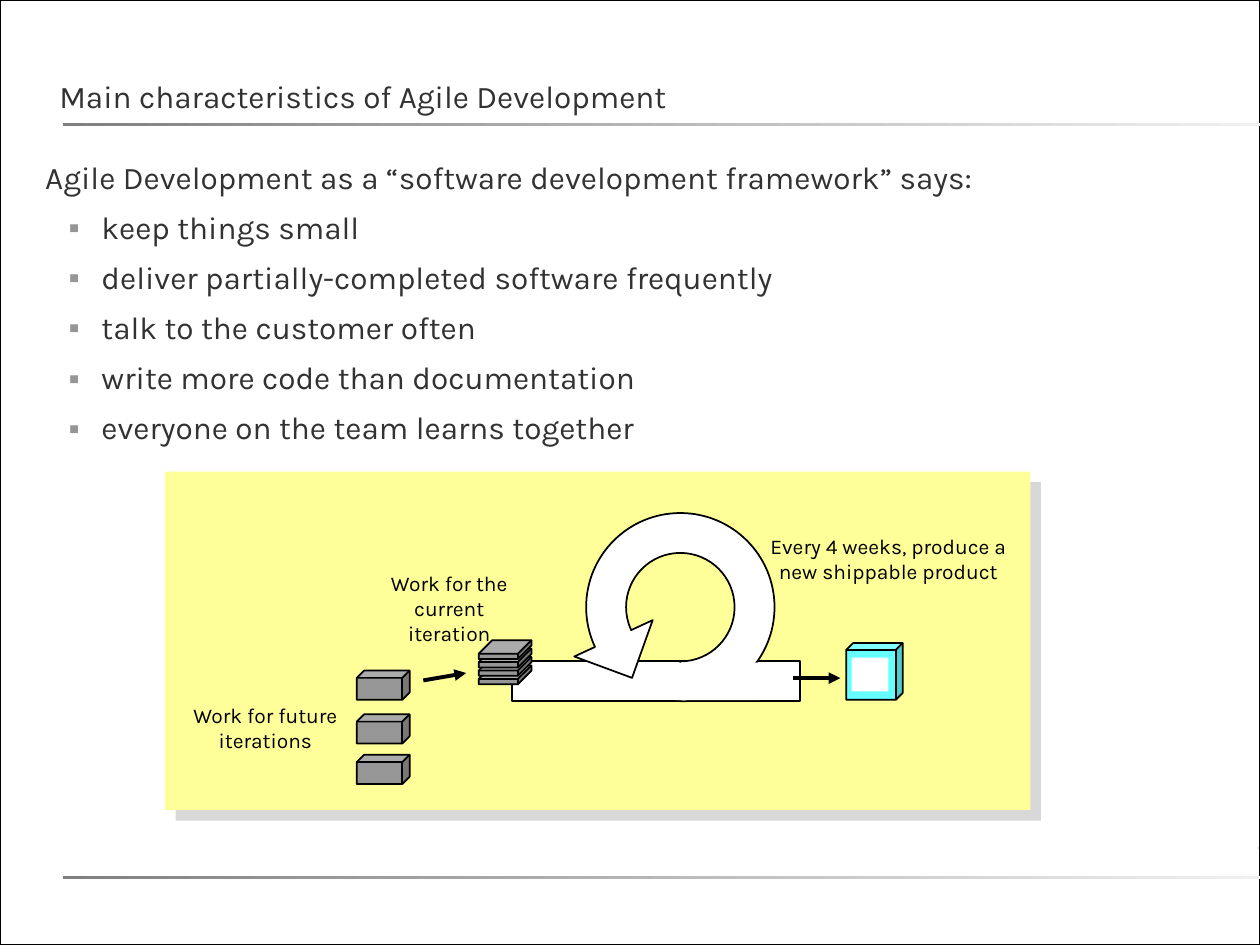
from math import cos, radians, sin, tan

from lxml.etree import SubElement
from pptx import Presentation
from pptx.dml.color import RGBColor
from pptx.enum.shapes import MSO_CONNECTOR, MSO_SHAPE
from pptx.enum.text import MSO_ANCHOR, PP_ALIGN
from pptx.oxml.ns import qn
from pptx.util import Pt

FONT = "Karla"
BLACK, WHITE, GREY, DARK = "000000", "FFFFFF", "969696", "323232"


def color(hex_text):
    return RGBColor.from_string(hex_text)


def points(*lengths):
    return [Pt(length) for length in lengths]


def add_xml(parent, tag, **attributes):
    return SubElement(parent, qn(tag), attributes)


def on_circle(center, radius, angle):
    """Point at an angle in degrees, clockwise from the right."""
    turn = radians(angle)
    return center[0] + radius * cos(turn), center[1] + radius * sin(turn)


def arc(center, radius, angles):
    """Bezier segments (two handles and an end) through the given angles."""
    segments = []
    for start, end in zip(angles, angles[1:]):
        reach = 4 / 3 * tan(radians(end - start) / 4)
        x1, y1 = on_circle(center, radius, start)
        x2, y2 = on_circle(center, radius, end)
        segments.append([
            (x1 - reach * (y1 - center[1]), y1 + reach * (x1 - center[0])),
            (x2 + reach * (y2 - center[1]), y2 - reach * (x2 - center[0])),
            (x2, y2)])
    return segments


class SlideWriter:
    """Holds the style and the current slide."""

    def __init__(self, slide):
        self.slide = slide
        self.shapes = slide.shapes

    def finish(self, shape, fill, line):
        shape.shadow.inherit = False
        if fill:
            shape.fill.solid()
            shape.fill.fore_color.rgb = color(fill)
        else:
            shape.fill.background()
        if line:
            shape.line.color.rgb = color(line)
            shape.line.width = Pt(1)
        else:
            shape.line.fill.background()
        return shape

    def shape(self, place, fill=None, line=None, kind=MSO_SHAPE.RECTANGLE):
        return self.finish(self.shapes.add_shape(kind, *points(*place)), fill, line)

    def cube(self, place, depth, fill=GREY):
        cube = self.shape(place, fill, BLACK, MSO_SHAPE.CUBE)
        cube.adjustments[0] = depth

    def fading_bar(self, place, end):
        bar = self.shape(place)
        bar.fill.gradient()
        bar.fill.gradient_angle = 0
        for stop, shade in zip(bar.fill.gradient_stops, ("808080", end)):
            stop.color.rgb = color(shade)

    def shadowed_panel(self, place, fill):
        panel = self.shape(place, fill)
        effects = panel._element.spPr.find(qn("a:effectLst"))
        shadow = add_xml(effects, "a:outerShdw", blurRad="0", dist=str(Pt(8.5)),
                         dir=str(45 * 60000), algn="ctr", rotWithShape="0")
        shade = add_xml(shadow, "a:srgbClr", val="B2B2B2")
        add_xml(shade, "a:alpha", val="50000")

    def outline(self, start, segments, fill, line):
        """Closed outline; a segment is [end] or [handle, handle, end]."""
        units = 100
        ends = [segment[-1] for segment in segments]
        left, top = (min(values) for values in zip(start, *ends))
        builder = self.shapes.build_freeform(
            *(round(value * units) for value in start), scale=Pt(1) / units)
        builder.add_line_segments(
            [(round(x * units), round(y * units)) for x, y in ends], close=True)
        shape = self.finish(builder.convert_to_shape(), fill, line)
        steps = list(shape._element.iter(qn("a:lnTo")))
        for step, segment in zip(steps, segments):
            if len(segment) == 3:
                step.tag = qn("a:cubicBezTo")
                step.remove(step[0])
                for x, y in segment:
                    add_xml(step, "a:pt", x=str(round((x - left) * units)),
                            y=str(round((y - top) * units)))

    def arrow(self, start, end):
        arrow = self.shapes.add_connector(MSO_CONNECTOR.STRAIGHT, *points(*start, *end))
        arrow.line.color.rgb = color(BLACK)
        arrow.line.width = Pt(2.25)
        add_xml(arrow.line._get_or_add_ln(), "a:tailEnd", type="triangle")
        add_xml(arrow._element.spPr, "a:effectLst")

    def text(self, place, lines, size, shade, inset=0, wrap=True):
        frame = self.shapes.add_textbox(*points(*place)).text_frame
        frame.word_wrap = wrap
        frame.margin_left = frame.margin_right = Pt(inset)
        frame.margin_top = frame.margin_bottom = Pt(inset)
        frame.text = "\n".join(lines)
        for para in frame.paragraphs:
            for span in para.runs:
                span.font.name = FONT
                span.font.size = Pt(size)
                span.font.color.rgb = color(shade)
        return frame

    def title(self, place, words):
        frame = self.text(place, [words], 18, DARK)
        frame.vertical_anchor = MSO_ANCHOR.BOTTOM
        frame.paragraphs[0].line_spacing = Pt(26)

    def body(self, place, lead, items):
        frame = self.text(place, [lead, *items], 18, DARK)
        first, *bulleted = frame.paragraphs
        first.line_spacing = 0.9
        first.space_after = Pt(4.5)
        first._p.get_or_add_pPr().set("marL", str(Pt(5)))
        for para in bulleted:
            para.line_spacing = 0.95
            para.space_before, para.space_after = points(3.6, 4.5)
            properties = para._p.get_or_add_pPr()
            properties.set("marL", str(Pt(37.1)))
            properties.set("indent", str(Pt(-18.7)))
            add_xml(add_xml(properties, "a:buClr"), "a:srgbClr", val=GREY)
            add_xml(properties, "a:buFont", typeface="Arial")
            add_xml(properties, "a:buChar", char="▪")

    def label(self, place, lines, wrap=False):
        frame = self.text(place, lines, 12, BLACK, inset=8.64, wrap=wrap)
        for para in frame.paragraphs:
            para.alignment = PP_ALIGN.CENTER


def draw_frame(writer):
    background = writer.slide.background.fill
    background.solid()
    background.fore_color.rgb = color("EAEAEA")
    writer.shape((0, 0, 720, 540), WHITE)
    writer.fading_bar((718.6, 483.8, 0.7, 1.4), "E1E1E1")
    writer.shape((0, 0, 720, 540), line=BLACK)
    for top in (70.4, 500.5):
        writer.fading_bar((36, top, 686, 1.7), "F1F1F1")


def draw_iteration_loop(writer):
    writer.shadowed_panel((94.3, 269.5, 494.6, 193.5), "FFFF99")
    writer.shape((292.4, 377.8, 164.9, 22.9), WHITE, BLACK)
    for level in range(4):
        writer.cube((273.6, 380.2 - 4.8 * level, 30.1, 10.8), 0.718)

    center, angles = (388.8, 347), [155, 180, 270, 360, 450]
    inner = arc(center, 31, angles)
    outer = arc(center, 53.8, angles[::-1])
    joint = [on_circle(center, 53.8, 450)]
    arrowhead = [[(328.2, 375.2)], [(361.2, 387.4)], [(373, 354.4)]]
    writer.outline(on_circle(center, 31, 155),
                   [*inner, joint, *outer, *arrowhead], WHITE, BLACK)

    for top in (383.2, 408.2, 431.3):
        writer.cube((203.9, top, 30.2, 16.7), 0.25)
    writer.label((101.6, 392.8, 100.1, 46.1), ["Work for future", "iterations"])
    writer.arrow((241.9, 388.8), (266.4, 384.6))
    writer.label((214.2, 317.3, 85, 60.5), ["Work for the", "current", "iteration"])
    writer.cube((483.6, 367.4, 32.3, 32.5), 0.124, "66FFFF")
    writer.label((427, 296, 161.3, 46.1),
                 ["Every 4 weeks, produce a new shippable product"], wrap=True)
    writer.arrow((452.9, 387.5), (480.2, 387.5))
    writer.shape((486.7, 375.8, 20.9, 19.4), WHITE)
    writer.shape((385.9, 378.7, 48.2, 21.4), WHITE)


def main():
    deck = Presentation()
    deck.slide_width, deck.slide_height = points(720, 540)
    writer = SlideWriter(deck.slides.add_slide(deck.slide_layouts[6]))
    draw_frame(writer)
    writer.title((33.9, 5.8, 650, 59.8), "Main characteristics of Agile Development")
    writer.body(
        (20.9, 92.9, 676.8, 356.4),
        "Agile Development as a “software development framework” says:",
        ["keep things small",
         "deliver partially-completed software frequently",
         "talk to the customer often",
         "write more code than documentation",
         "everyone on the team learns together"])
    draw_iteration_loop(writer)
    deck.save("out.pptx")


if __name__ == "__main__":
    main()
